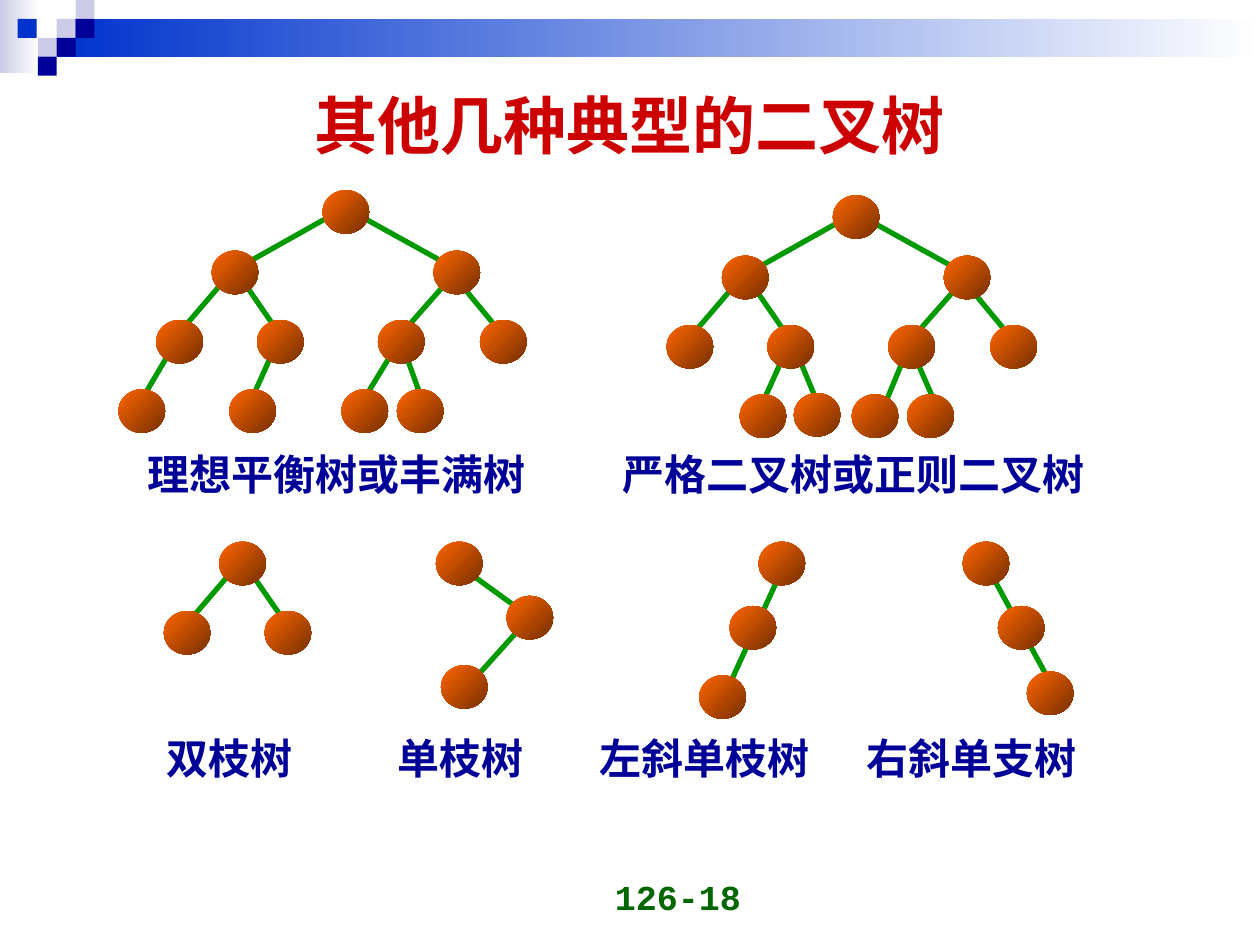
import pptx
import pptx.dml.color
import pptx.enum.shapes
import pptx.enum.text
import pptx.oxml
import pptx.oxml.ns
import pptx.util

ALIGN = pptx.enum.text.PP_ALIGN
ANCHOR = pptx.enum.text.MSO_ANCHOR
SHAPE = pptx.enum.shapes.MSO_SHAPE


def rgb(code):
    return pptx.dml.color.RGBColor.from_string(code)


def write(frame, text, size, color, font="Arial", align=ALIGN.LEFT, tabs=()):
    """Write one bold paragraph; tabs are stops in grid columns."""
    paragraph = frame.paragraphs[0]
    paragraph.alignment = align
    if tabs:
        stops = pptx.oxml.parse_xml(f"<a:tabLst {pptx.oxml.ns.nsdecls('a')}/>")
        for column in tabs:
            stop = stops.makeelement(pptx.oxml.ns.qn("a:tab"))
            stop.set("pos", str(Board.cells(column)))
            stop.set("algn", "l")
            stops.append(stop)
        paragraph._p.get_or_add_pPr().append(stops)
    run = paragraph.add_run()
    run.text = text
    run.font.size = pptx.util.Pt(size)
    run.font.bold = True
    run.font.name = font
    run.font.color.rgb = rgb(color)


class Board:
    """Style and current slide; lengths are cells of a 100 x 75 grid."""
    CELL = 0.1
    RED, NAVY, BLUE, LILAC, WHITE = "CC0000", "000099", "0033CC", "CCCCE6", "FFFFFF"
    GREEN, PAGE_GREEN = "009900", "006600"
    NODE_FILL = ("FF6600", "762F00")
    NODE = (3.7, 3.45)

    def __init__(self, deck):
        deck.slide_width, deck.slide_height = self.cells(100), self.cells(75)
        self.slide = deck.slides.add_slide(deck.slide_layouts[6])

    @classmethod
    def cells(cls, count):
        return pptx.util.Inches(count * cls.CELL)

    def shape(self, shapes, kind, box, colors, angle=0):
        """One colour gives a plain fill, two give a gradient."""
        item = shapes.add_shape(kind, *map(self.cells, box))
        item.shadow.inherit = False
        item.line.fill.background()
        if len(colors) == 1:
            item.fill.solid()
            item.fill.fore_color.rgb = rgb(colors[0])
        else:
            item.fill.gradient()
            item.fill.gradient_angle = angle
            for position, (stop, color) in enumerate(zip(item.fill.gradient_stops, colors)):
                stop.position = position
                stop.color.rgb = rgb(color)

    def band(self, box, *colors):
        self.shape(self.slide.shapes, SHAPE.RECTANGLE, box, colors)

    def branch(self, shapes, ends):
        line = shapes.add_connector(pptx.enum.shapes.MSO_CONNECTOR.STRAIGHT,
                                    *map(self.cells, ends))
        line.line.color.rgb = rgb(self.GREEN)
        line.line.width = pptx.util.Pt(3)
        line._element.spPr.append(
            pptx.oxml.parse_xml(f"<a:effectLst {pptx.oxml.ns.nsdecls('a')}/>"))

    def tree(self, nodes, branches, shift=(0, 0)):
        """Draw branches below nodes (left, top) as one group."""
        dx, dy = shift
        shapes = self.slide.shapes.add_group_shape().shapes
        for x1, y1, x2, y2 in branches:
            self.branch(shapes, (x1 + dx, y1 + dy, x2 + dx, y2 + dy))
        for x, y in nodes:
            self.shape(shapes, SHAPE.OVAL, (x + dx, y + dy, *self.NODE), self.NODE_FILL, 315)

    def text(self, box, text, size, color, anchor=ANCHOR.TOP, **style):
        frame = self.slide.shapes.add_textbox(*map(self.cells, box)).text_frame
        frame.word_wrap = True
        frame.vertical_anchor = anchor
        write(frame, text, size, color, **style)


# Parts shared by the trees
PAIR_NODES = [(16.8, 19.9), (12.4, 25.4), (20.4, 25.4)]
PAIR_BRANCHES = [(19, 21.9, 21.9, 26.1), (17.5, 26 - 3.4, 13.9, 26.8)]
CROWN_NODES = PAIR_NODES + [(25.6, 15.1), (34.4, 19.9), (30, 25.4), (38.1, 25.4),
                            (18.2, 30.9), (27.1, 30.9), (31.5, 30.9)]
CROWN_BRANCHES = PAIR_BRANCHES + [
    (26.3, 17.1, 19, 21.2), (28.5, 17.1, 35.9, 21.2),
    (35.9, 21.9, 32.2, 26.1), (36.6, 22.6, 39.5, 26.1),
    (21.9, 27.4, 19.7, 32.3)]
CROWN_SHIFT = (40.5, 0.4)


def moved_back(points):
    """Bring slide points into the frame of the unshifted crown."""
    return [tuple(value - CROWN_SHIFT[i % 2] for i, value in enumerate(point))
            for point in points]


def main():
    deck = pptx.Presentation()
    board = Board(deck)

    # Header band and its squares
    board.band((0, 0, 3.1, 5.8), board.LILAC, board.WHITE)
    board.band((4.5, 1.5, 95.5, 3), board.BLUE, board.WHITE)
    for color, corners in {
        board.LILAC: [(4.5, 1.5), (6, 0), (3, 3)],
        board.NAVY: [(6, 1.5), (4.5, 3), (3, 4.5)],
        board.BLUE: [(1.4, 1.5)],
    }.items():
        for corner in corners:
            board.band((*corner, 1.5, 1.5), color)

    # Title and page number
    board.text((5, 5, 90, 9.7), "其他几种典型的二叉树", 36, board.RED,
               anchor=ANCHOR.MIDDLE, align=ALIGN.CENTER)
    board.text((36.5, 68.3, 23.3, 5), "126-18", 20, board.PAGE_GREEN,
               anchor=ANCHOR.BOTTOM, font="Courier New", align=ALIGN.RIGHT)

    # Balanced tree and strict tree
    board.tree(CROWN_NODES + [(9.4, 30.9)],
               CROWN_BRANCHES + [(13.8, 27.4, 10.9, 32.3), (31.5, 27.4, 28.5, 32.3),
                                 (32.2, 28.1, 33.7, 32.3)])
    board.tree(CROWN_NODES + moved_back([(63, 31.2)]),
               CROWN_BRANCHES + moved_back([(63.4, 28.4, 65.4, 33.2), (72, 27.8, 70.1, 32.4),
                                            (72.7, 28.5, 74.4, 32.4)]),
               CROWN_SHIFT)
    board.text((10.7, 35.1, 34.5, 5), "理想平衡树或丰满树", 24, board.NAVY)
    board.text((48.4, 35.1, 41.7, 5), "严格二叉树或正则二叉树", 24, board.NAVY)

    # Two-branch, one-branch, left and right trees
    board.tree(PAIR_NODES, PAIR_BRANCHES, (0.6, 23.1))
    board.tree([(34.6, 43), (35, 52.8), (40.2, 47.3)],
               [(41.7, 49.4, 38, 53.5), (35.9, 44.5, 41.7, 48.7)])
    board.tree([(60.2, 43), (57.9, 48.1), (55.5, 53.6)], [(61.8, 45.8, 57.5, 55.2)])
    board.tree([(76.4, 43), (79.2, 48.1), (81.5, 53.3)], [(78.8, 45.8, 83.1, 53.7)])
    board.text((12.2, 55.6, 81.9, 9), "双枝树\t单枝树\t左斜单枝树\t右斜单支树", 24, board.NAVY,
               anchor=ANCHOR.MIDDLE, font="Arial Narrow", tabs=(18.4, 34.4, 55.6))

    deck.save("out.pptx")


if __name__ == "__main__":
    main()
